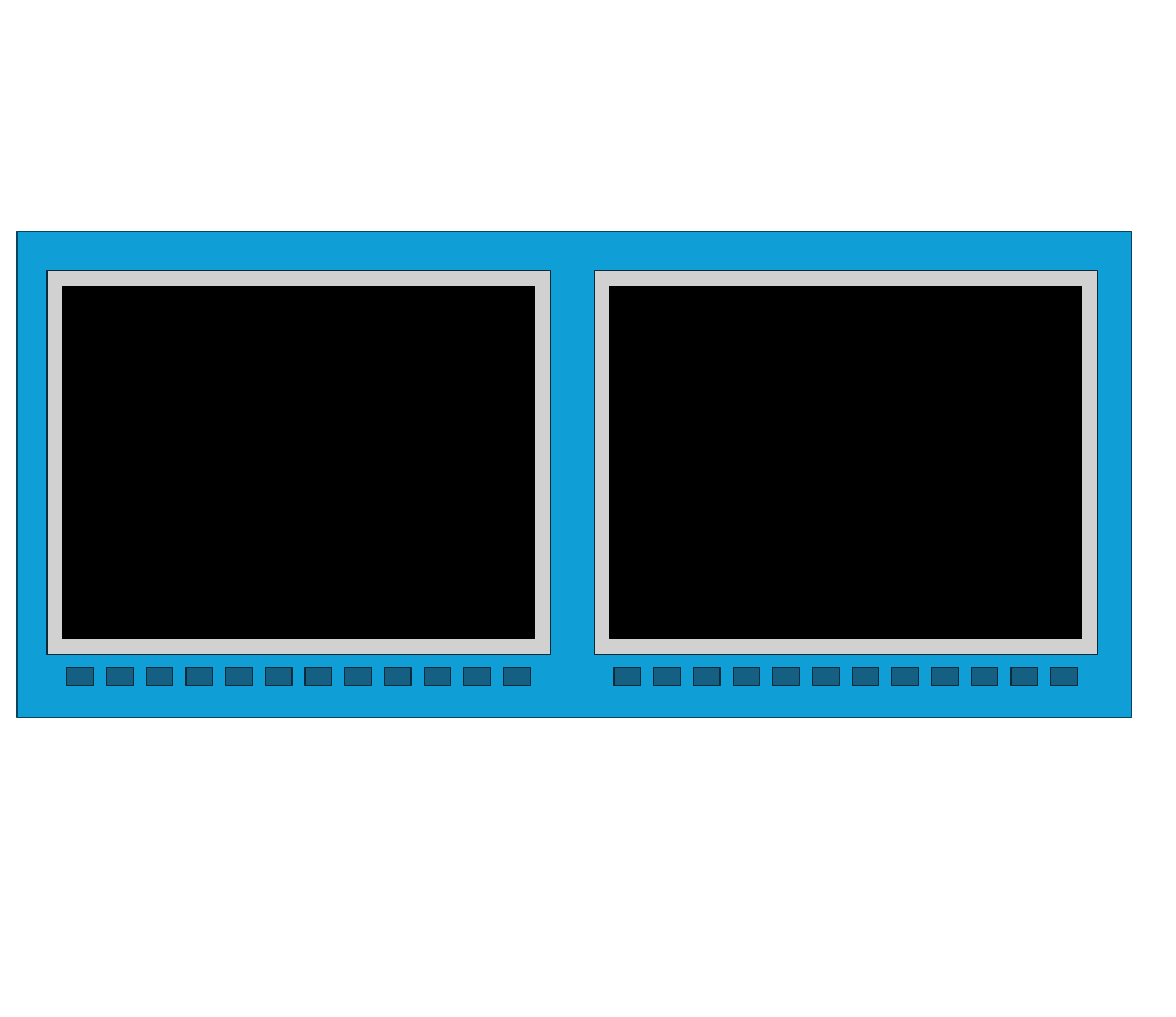
from dataclasses import dataclass

from pptx import Presentation
from pptx import util as u
from pptx.dml.color import RGBColor
from pptx.enum import shapes

COLS, ROWS = 20.74, 17.94
CELL = u.Inches(1)
MONITOR_LEFT, MONITOR_PITCH, MONITORS = 0.83, 9.65, 2
KEY_INSET, KEY_PITCH, KEYS = 0.35, 0.7, 12


@dataclass(frozen=True)
class Theme:
    panel: str = "0F9ED5"
    panel_edge: str = "07455D"
    bezel: str = "D1D1D1"
    screen: str = "000000"
    key: str = "156082"
    edge: str = "092A39"
    line_width: float = 1.5


THEME = Theme()


def cells(n):
    return round(n * CELL)


def add_box(parent, col, row, width, height, fill, edge):
    box = map(cells, (col, row, width, height))
    sp = parent.add_shape(shapes.MSO_SHAPE.RECTANGLE, *box)
    sp.shadow.inherit = False
    sp.fill.solid()
    for target, color in {sp.fill.fore_color: fill, sp.line.color: edge}.items():
        target.rgb = RGBColor.from_string(color)
    sp.line.width = u.Pt(THEME.line_width)
    return sp


def add_screen(parent, col):
    add_box(parent, col, 4.77, 8.88, 6.77, THEME.bezel, THEME.edge)
    add_box(parent, col + 0.27, 5.05, 8.33, 6.22, THEME.screen, THEME.screen)


def add_keys(parent, col):
    group = parent.add_group_shape()
    for i in range(KEYS):
        add_box(group.shapes, col + i * KEY_PITCH, 11.78, 0.47, 0.31,
                THEME.key, THEME.edge)


def add_monitor(parent, col):
    add_screen(parent, col)
    add_keys(parent, col + KEY_INSET)


def main():
    prs = Presentation()
    size = {"slide_width": cells(COLS), "slide_height": cells(ROWS)}
    for name, value in size.items():
        setattr(prs, name, value)
    s = prs.slides.add_slide(prs.slide_layouts[6])
    add_box(s.shapes, 0.3, 4.09, 19.65, 8.57, THEME.panel, THEME.panel_edge)
    for i in range(MONITORS):
        add_monitor(s.shapes, MONITOR_LEFT + i * MONITOR_PITCH)
    prs.save("out.pptx")


if __name__ == "__main__":
    main()
